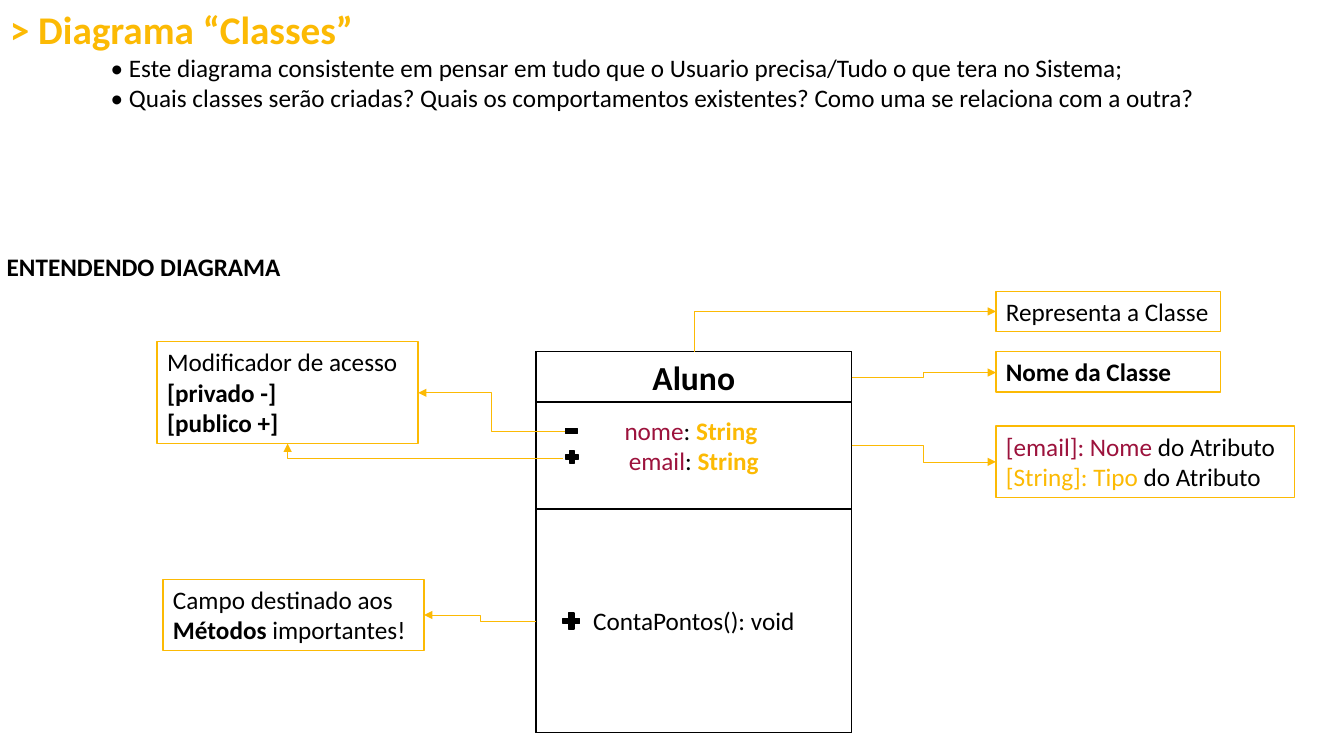
from lxml.etree import SubElement
from pptx import Presentation
from pptx.dml.color import RGBColor
from pptx.enum.shapes import MSO_CONNECTOR as Link, MSO_SHAPE as Form
from pptx.enum.text import MSO_ANCHOR as Anchor, MSO_AUTO_SIZE as Fit, PP_ALIGN as Align
from pptx.oxml.ns import qn
from pptx.util import Cm, Pt

THEME = {
    "font": "Calibri",
    "black": RGBColor.from_string("000000"),
    "white": RGBColor.from_string("FFFFFF"),
    "gold": RGBColor.from_string("FCBA04"),
    "wine": RGBColor.from_string("9C123C"),
    "heading": Pt(28),
    "class name": Pt(24),
    "body": Pt(18),
    "outline": Pt(1),
    "arrow": Pt(0.5),
}


def write(box, lines, size="body", align=Align.LEFT, wrap=True, grow=True):
    frame = box.text_frame
    frame.word_wrap = wrap
    frame.auto_size = Fit.SHAPE_TO_FIT_TEXT if grow else Fit.NONE
    frame.vertical_anchor = Anchor.TOP if grow else Anchor.MIDDLE
    for index, line in enumerate(lines):
        para = frame.add_paragraph() if index else frame.paragraphs[0]
        para.alignment = align
        for text, color, bold in line:
            span = para.add_run()
            span.text = text
            span.font.name = THEME["font"]
            span.font.size = THEME[size]
            span.font.color.rgb = THEME[color]
            span.font.bold = bold


def draw(form, place, fill="white", line="black"):
    shape = page.shapes.add_shape(form, *map(Cm, place))
    shape.shadow.inherit = False
    shape.fill.solid()
    shape.fill.fore_color.rgb = THEME[fill]
    shape.line.color.rgb = THEME[line]
    shape.line.width = THEME["outline"]
    return shape


deck = Presentation()
deck.slide_width, deck.slide_height = Cm(33.87), Cm(19.05)
page = deck.slides.add_slide(deck.slide_layouts[6])

intro = page.shapes.add_textbox(Cm(0), Cm(0), Cm(30.68), Cm(3))
write(intro, [[("> Diagrama “Classes”", "gold", True)]], "heading", wrap=False)
points = [
    "• Este diagrama consistente em pensar em tudo que o Usuario precisa/Tudo o que tera no Sistema;",
    "• Quais classes serão criadas? Quais os comportamentos existentes? Como uma se relaciona com a outra?",
]
for point in points:
    para = intro.text_frame.add_paragraph()
    para.text = point
    para.alignment = Align.LEFT
    para.runs[0].font.name = THEME["font"]
    para.runs[0].font.size = THEME["body"]
    para.runs[0].font.color.rgb = THEME["black"]
    para._p.get_or_add_pPr().set("marL", str(Cm(2.54)))

section = page.shapes.add_textbox(Cm(-0.08), Cm(6.22), Cm(7.49), Cm(1.02))
write(section, [[("ENTENDENDO DIAGRAMA", "black", True)]], wrap=False)

left, top, width, height = 13.51, 8.86, 7.95, 9.6
right = left + width
methods_top = 12.83
draw(Form.RECTANGLE, (left, top, width, height))
class_name = draw(Form.RECTANGLE, (left, top, width, 1.27))
write(class_name, [[("Aluno", "black", True)]], "class name", Align.CENTER)
attributes = page.shapes.add_textbox(Cm(left), Cm(10.34), Cm(width), Cm(1.8))
write(attributes, [
    [("nome", "wine", False), (": ", "black", False), ("String ", "gold", True)],
    [("email", "wine", False), (": ", "black", False), ("String", "gold", True)],
], align=Align.CENTER)
methods = draw(Form.RECTANGLE, (left, methods_top, width, top + height - methods_top))
write(methods, [[("ContaPontos(): void", "black", False)]], align=Align.CENTER, grow=False)

signs = [
    (Form.RECTANGLE, (14.25, 10.8, 0.3, 0.13)),
    (Form.MATH_PLUS, (14.2, 11.3, 0.43, 0.43)),
    (Form.MATH_PLUS, (14.12, 15.37, 0.56, 0.56)),
]
for form, place in signs:
    draw(form, place, fill="black")

note_left = 25.1
notes = [
    ((note_left, 7.34, 5.66, 1.02), [[("Representa a Classe", "black", False)]], False),
    ((note_left, top, 5.66, 1.02), [[("Nome da Classe", "black", True)]], True),
    ((note_left, 10.74, 7.52, 1.8), [
        [("[email]: Nome", "wine", False), (" do Atributo", "black", False)],
        [("[String]: Tipo", "gold", False), (" do Atributo", "black", False)],
    ], True),
    ((3.96, 8.61, 6.58, 2.57), [
        [("Modificador de acesso ", "black", False), ("[privado -]", "black", True)],
        [("[publico +]", "black", True)],
    ], True),
    ((4.11, 14.6, 6.58, 1.8), [[
        ("Campo destinado aos ", "black", False),
        ("Métodos", "black", True),
        (" importantes!", "black", False),
    ]], True),
]
for place, lines, wrap in notes:
    write(draw(Form.RECTANGLE, place, line="gold"), lines, wrap=wrap)

arrows = [
    (left + width / 2, top, note_left, 7.85, "up then across"),
    (right, 9.52, note_left, 9.39, "step"),
    (right, 11.23, note_left, 11.64, "step"),
    (14.25, 10.87, 10.54, 9.9, "step"),
    (left, 15.65, 10.69, 15.5, "step"),
    (14.2, 11.56, 7.25, 11.18, "across then up"),
]
for x1, y1, x2, y2, route in arrows:
    if route == "up then across":
        mid_x, mid_y = (x1 + x2) / 2, (y1 + y2) / 2
        half_x, half_y = (x2 - x1) / 2, (y2 - y1) / 2
        x1, y1, x2, y2 = mid_x - half_y, mid_y + half_x, mid_x + half_y, mid_y - half_x
    arrow = page.shapes.add_connector(Link.ELBOW, *map(Cm, (x1, y1, x2, y2)))
    arrow.line.color.rgb = THEME["gold"]
    arrow.line.width = THEME["arrow"]
    properties = arrow.element.spPr
    if route != "step":
        properties.find(qn("a:prstGeom")).set("prst", "bentConnector2")
    if route == "up then across":
        properties.find(qn("a:xfrm")).set("rot", "5400000")
    SubElement(properties.find(qn("a:ln")), qn("a:tailEnd")).set("type", "triangle")
    SubElement(properties, qn("a:effectLst"))

deck.save("out.pptx")
